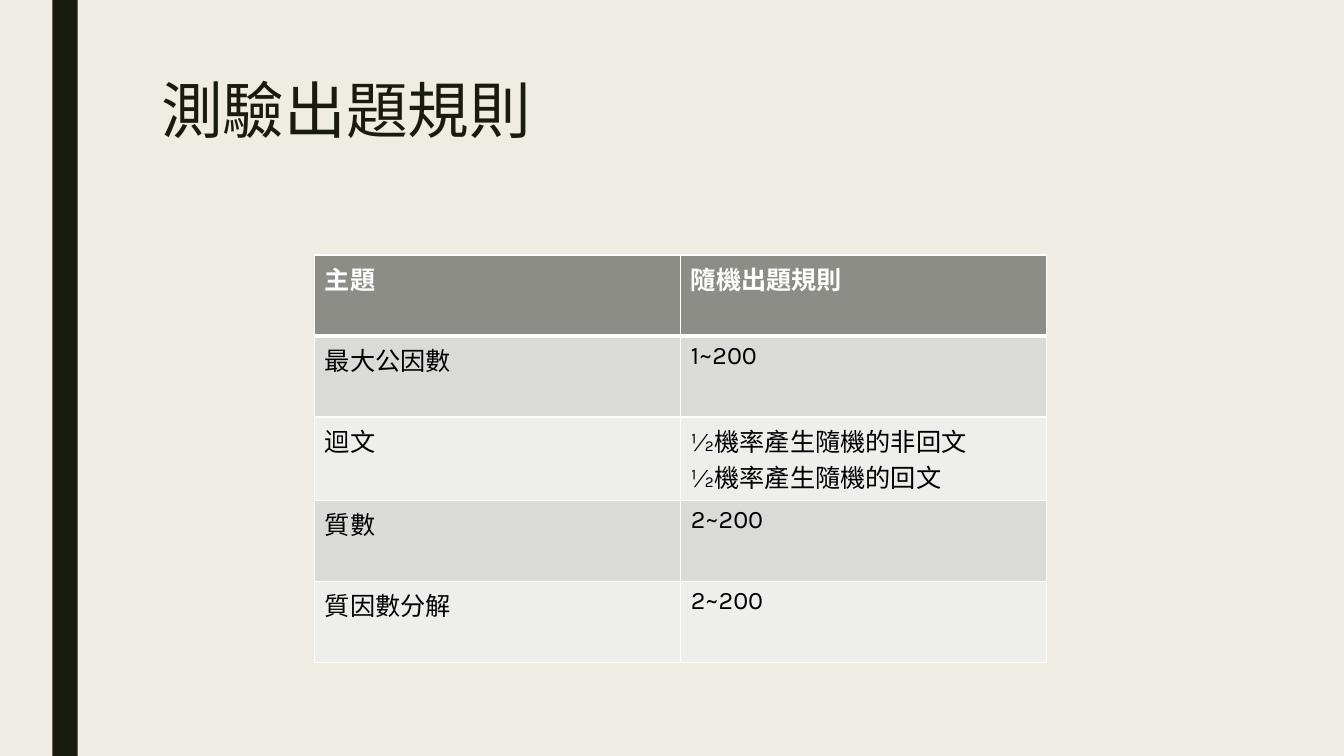
"""Build a slide with a table of the rules for quiz questions."""
from lxml import etree
from pptx import Presentation
from pptx.dml.color import RGBColor
from pptx.enum.shapes import MSO_SHAPE
from pptx.enum.text import MSO_ANCHOR, MSO_AUTO_SIZE, PP_ALIGN
from pptx.oxml.ns import qn
from pptx.util import Inches, Pt

RECT = MSO_SHAPE.RECTANGLE
TOP = MSO_ANCHOR.TOP
FIXED = MSO_AUTO_SIZE.NONE
LEFT = PP_ALIGN.LEFT
COLS, ROWS = 80, 45
HUES = {"paper": "EFEDE3", "ink": "191B0E", "head": "8C8D86",
        "odd": "DADBD9", "even": "EEEEED", "white": "FFFFFF", "black": "000000"}
RULES = [
    ("主題", "隨機出題規則"),
    ("最大公因數", "1~200"),
    ("迴文", "½機率產生隨機的非回文\n½機率產生隨機的回文"),
    ("質數", "2~200"),
    ("質因數分解", "2~200"),
]


class Deck:
    """Hold the style and the current slide."""

    def __init__(self):
        self.file = Presentation()
        self.file.slide_width, self.file.slide_height = Inches(13.33), Inches(7.5)
        self.slide = self.file.slides.add_slide(self.file.slide_layouts[5])
        self.paint(self.slide.background.fill, "paper")

    def hue(self, name):
        return RGBColor.from_string(HUES[name])

    def paint(self, fill, name):
        fill.solid()
        fill.fore_color.rgb = self.hue(name)

    def place(self, col, row, wide, high):
        x, y = self.file.slide_width / COLS, self.file.slide_height / ROWS
        return [int(n) for n in (col * x, row * y, wide * x, high * y)]

    def style(self, frame, face, size, hue, bold=False):
        for para in frame.paragraphs:
            para.alignment = LEFT
            for run in para.runs:
                font = run.font
                font.name, font.size, font.bold = face, Pt(size), bold
                font.color.rgb = self.hue(hue)

    def bar(self, *spot):
        shape = self.slide.shapes.add_shape(RECT, *self.place(*spot))
        shape.shadow.inherit = False
        self.paint(shape.fill, "ink")
        shape.line.fill.background()

    def title(self, text, *spot):
        shape = self.slide.shapes.title
        shape.left, shape.top, shape.width, shape.height = self.place(*spot)
        frame = shape.text_frame
        frame.text = text
        frame.auto_size, frame.vertical_anchor = FIXED, TOP
        frame.paragraphs[0].line_spacing = 0.89
        self.style(frame, "Arial", 44, "ink")

    def edge(self, cell, side, width):
        line = etree.SubElement(cell._tc.get_or_add_tcPr(), qn(f"a:ln{side}"),
                                w=str(Pt(width)))
        fill = etree.SubElement(line, qn("a:solidFill"))
        etree.SubElement(fill, qn("a:srgbClr"), val=HUES["white"])

    def table(self, data, *spot):
        shape = self.slide.shapes.add_table(len(data), len(data[0]), *self.place(*spot))
        for r, texts in enumerate(data):
            head = r == 0
            for c, text in enumerate(texts):
                cell = shape.table.cell(r, c)
                cell.text_frame.text = text
                self.style(cell.text_frame, "Karla", 18,
                           "white" if head else "black", head)
                for side in "LRTB":
                    thick = side == "B" and head or side == "T" and r == 1
                    self.edge(cell, side, 3 if thick else 1)
                self.paint(cell.fill, "head" if head else "odd" if r % 2 else "even")


def main():
    deck = Deck()
    deck.bar(3.12, 0, 1.5, ROWS)
    deck.title("測驗出題規則", 9, 4.5, 63, 9.72)
    deck.table(RULES, 18.74, 15.18, 43.57, 24.12)
    deck.file.save("out.pptx")


if __name__ == "__main__":
    main()
